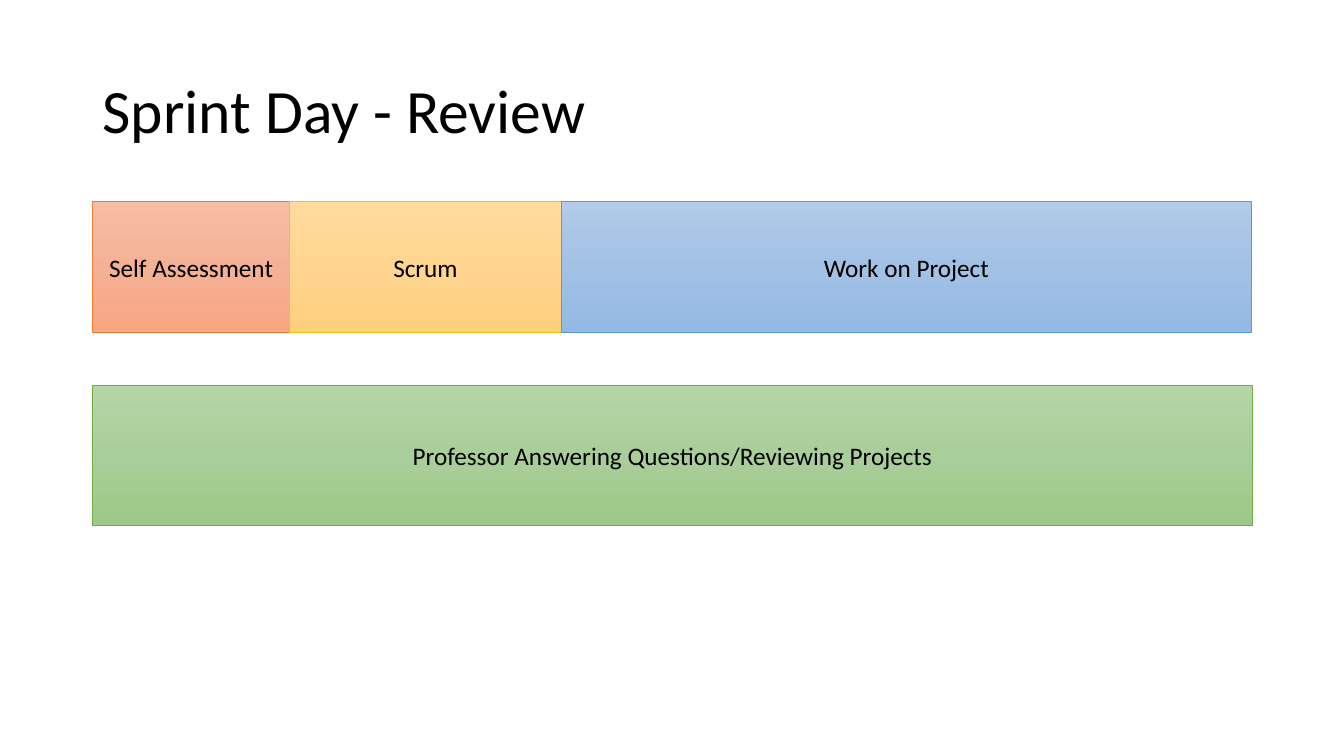
from copy import deepcopy

from pptx import Presentation
from pptx.dml.color import RGBColor
from pptx.enum.shapes import MSO_SHAPE
from pptx.enum.text import MSO_ANCHOR, PP_ALIGN
from pptx.oxml.ns import qn
from pptx.util import Inches, Pt

RECTANGLE = MSO_SHAPE.RECTANGLE
MIDDLE = MSO_ANCHOR.MIDDLE
LEFT, CENTER = PP_ALIGN.LEFT, PP_ALIGN.CENTER

COLORS = {
    "text": "000000",
    "orange": ("F7BDA5", "F5B196", "F8A582"),
    "orange line": "ED7D31",
    "gold": ("FFDB9E", "FFD590", "FFD07C"),
    "gold line": "FFC000",
    "blue": ("B1CBE9", "A3C1E5", "93B9E4"),
    "blue line": "5B9BD5",
    "green": ("B5D5A7", "AACE9A", "9CC987"),
    "green line": "70AD47",
}

MARGIN = 0.92
CONTENT_WIDTH = 11.5
ACTIVITY_TOP, ACTIVITY_HEIGHT = 2, 1.3
ACTIVITIES = [
    ("Self Assessment", 1.95, "orange"),
    ("Scrum", 2.7, "gold"),
    ("Work on Project", 6.84, "blue"),
]


class SlideBuilder:
    def __init__(self, slide, font="Calibri"):
        self.slide = slide
        self.font = font

    def set_text(self, shape, text, size, align, line_spacing=1.0):
        frame = shape.text_frame
        frame.word_wrap = True
        frame.vertical_anchor = MIDDLE
        para = frame.paragraphs[0]
        para.alignment = align
        para.line_spacing = line_spacing
        span = para.add_run()
        span.text = text
        for name, value in {"name": self.font, "size": Pt(size)}.items():
            setattr(span.font, name, value)
        span.font.color.rgb = RGBColor.from_string(COLORS["text"])

    def title(self, text, left, top, width, height):
        box = self.slide.shapes.add_textbox(*map(Inches, (left, top, width, height)))
        self.set_text(box, text, 44, LEFT, line_spacing=0.9)

    def bar(self, text, color, left, top, width, height):
        bar = self.slide.shapes.add_shape(
            RECTANGLE, *map(Inches, (left, top, width, height)))
        bar.shadow.inherit = False
        self.shade(bar, COLORS[color])
        bar.line.color.rgb = RGBColor.from_string(COLORS[color + " line"])
        bar.line.width = Pt(0.5)
        self.set_text(bar, text, 18, CENTER)

    def shade(self, shape, shades):
        """Fill with evenly spaced shades from top to bottom."""
        shape.fill.gradient()
        shape.fill.gradient_angle = 270
        stop_list = next(shape.element.iter(qn("a:gsLst")))
        while len(stop_list) < len(shades):
            stop_list.append(deepcopy(stop_list[0]))
        for index, (stop, shade) in enumerate(zip(shape.fill.gradient_stops, shades)):
            stop.position = index / (len(shades) - 1)
            stop.color.rgb = RGBColor.from_string(shade)


def main():
    deck = Presentation()
    deck.slide_width, deck.slide_height = Inches(13.33), Inches(7.5)
    page = SlideBuilder(deck.slides.add_slide(deck.slide_layouts[6]))

    page.title("Sprint Day - Review", MARGIN, 0.4, CONTENT_WIDTH, 1.45)
    left = MARGIN
    for text, width, color in ACTIVITIES:
        page.bar(text, color, left, ACTIVITY_TOP, width, ACTIVITY_HEIGHT)
        left += width
    page.bar("Professor Answering Questions/Reviewing Projects", "green",
             MARGIN, 3.82, CONTENT_WIDTH, 1.39)

    deck.save("out.pptx")


if __name__ == "__main__":
    main()
